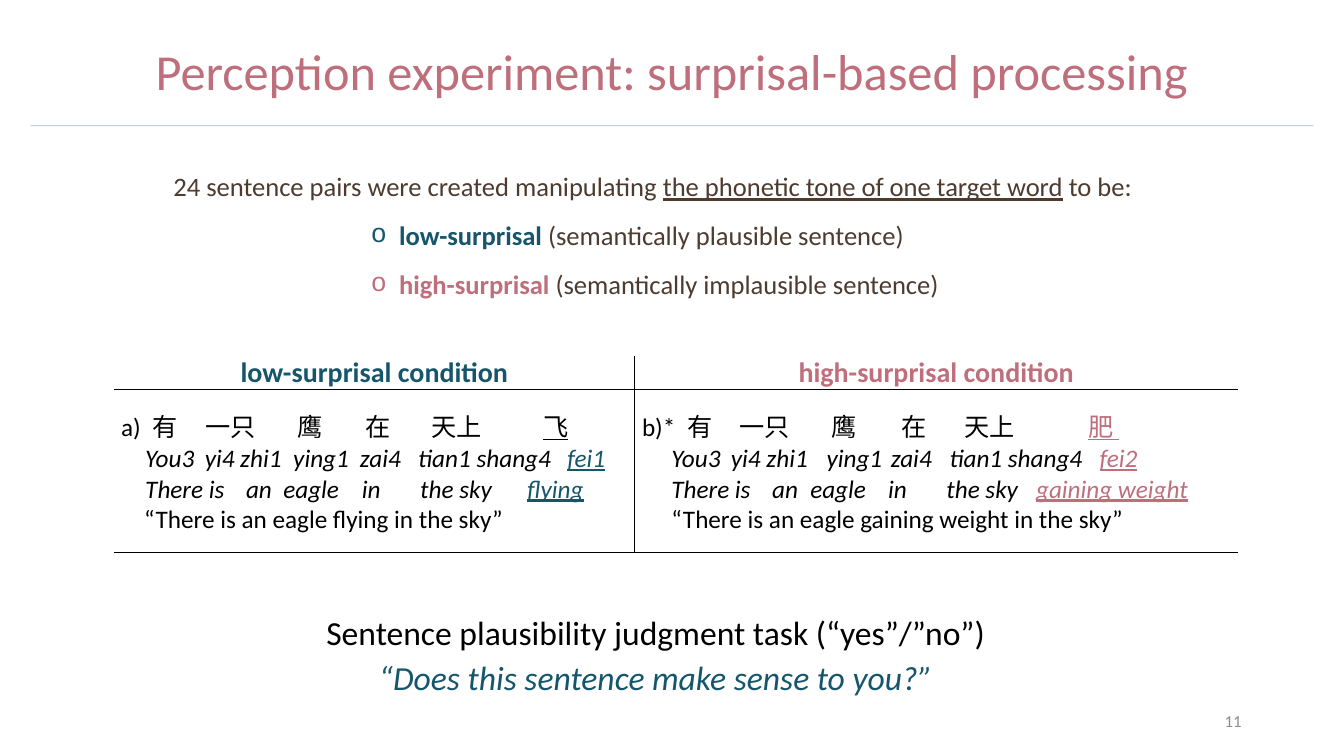
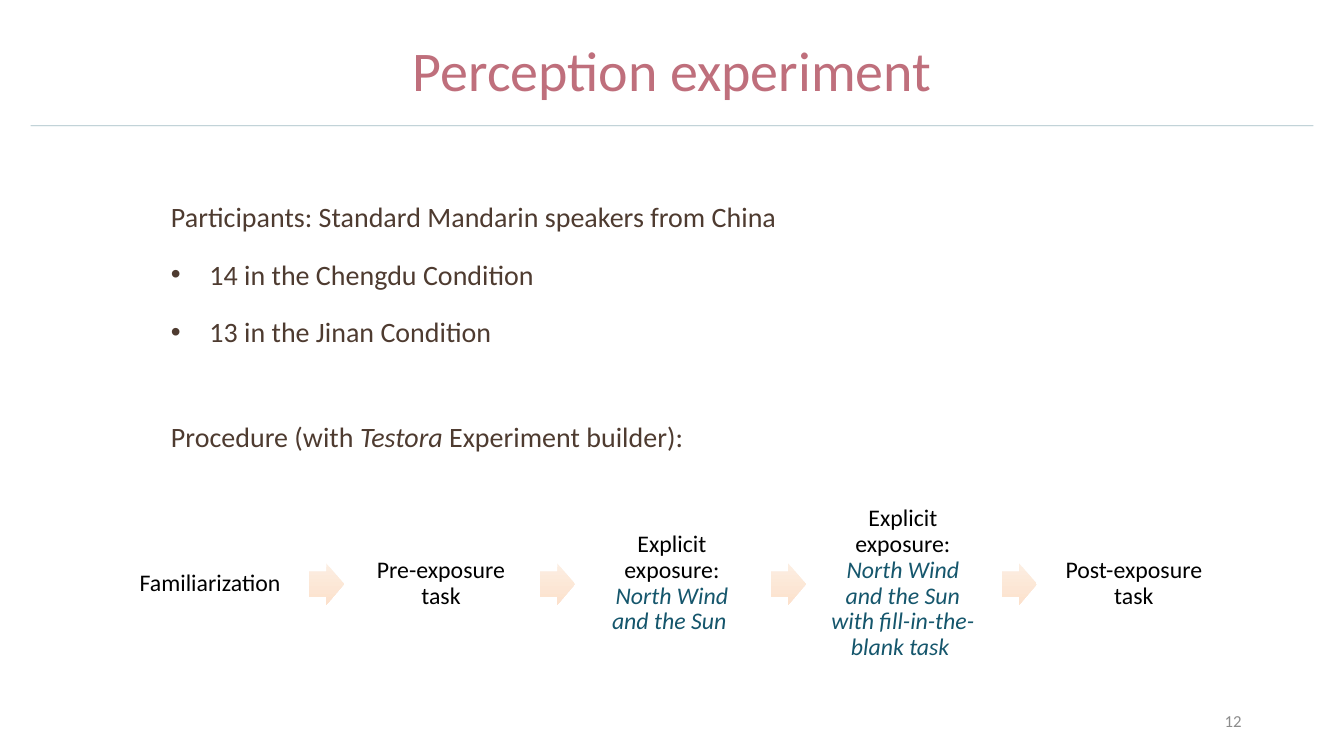
import pptx
import pptx.util
import pptx.dml.color
import pptx.enum.text
import pptx.enum.shapes
import pptx.oxml
import pptx.oxml.ns
import pptx.oxml.xmlchemy

Cm, Pt = pptx.util.Cm, pptx.util.Pt
RGB = pptx.dml.color.RGBColor.from_string
ALIGN = pptx.enum.text.PP_ALIGN
ANCHOR = pptx.enum.text.MSO_ANCHOR
SHAPE = pptx.enum.shapes.MSO_SHAPE
qn = pptx.oxml.ns.qn

THEME = {
    "font": "Calibri",
    "colors": {"rose": "BF6F7C", "teal": "15566C", "brown": "4E3B30",
               "black": "000000", "gray": "8C8C8C"},
    "sizes": {"title": 36, "big_title": 40, "intro": 19, "body": 20, "head": 20,
              "gloss": 18, "task": 24, "step": 17, "number": 12},
    "arrow": ("FCEEE2", "FCE1CC"),
}

PLAIN = {}
UNDER = {"underline": True}
ITALIC = {"italic": True}
TEAL = {"color": "teal"}
ROSE = {"color": "rose"}
BOLD = {"bold": True}

INTRO = [
    ([("24 sentence pairs were created manipulating ", PLAIN),
      ("the phonetic tone of one target word", UNDER), (" to be:", PLAIN)], None),
    ([("low-surprisal ", TEAL | BOLD), ("(semantically plausible sentence)", PLAIN)], "teal"),
    ([("high-surprisal ", ROSE | BOLD), ("(semantically implausible sentence)", PLAIN)], "rose"),
]

CONDITIONS = [
    {"head": "low-surprisal condition", "color": "teal", "width": 13.13, "lines": [
        (["a)", "有", "一只", "鹰", "在", "天上"], ("飞", UNDER), PLAIN,
         [0.8, 2.13, 4.45, 6.17, 7.82, 10.64]),
        (["", "You3", "yi4 zhi1", "ying1", "zai4", "tian1 shang4"],
         ("fei1", UNDER | TEAL), ITALIC, [0.61, 2.11, 4.34, 6.02, 7.49, 11.25]),
        (["", "There is", "an", "eagle", "in", "the sky"],
         ("flying", UNDER | TEAL), ITALIC, [0.61, 3.15, 4.09, 6.07, 7.54, 10.24]),
        ([""], ("“There is an eagle flying in the sky”", PLAIN), PLAIN, [0.58]),
    ]},
    {"head": "high-surprisal condition", "color": "rose", "width": 15.19, "lines": [
        (["b)*", "有", "一只", "鹰", "在", "天上"], ("肥 ", UNDER | ROSE), PLAIN,
         [1.14, 2.46, 4.78, 6.53, 8.13, 11.25]),
        (["", "You3", "yi4 zhi1", "ying1", "zai4", "tian1 shang4"],
         ("fei2", UNDER | ROSE), ITALIC, [0.74, 2.24, 4.65, 6.27, 7.75, 11.53]),
        (["", "There is", "an", "eagle", "in", "the sky"],
         ("gaining weight", UNDER | ROSE), ITALIC, [0.74, 3.28, 4.24, 6.2, 7.67, 9.93]),
        ([""], ("“There is an eagle gaining weight in the sky”", PLAIN), PLAIN, [0.74]),
    ]},
]

TASK = [("Sentence plausibility judgment task (“yes”/”no”)", PLAIN),
        ("“Does this sentence make sense to you?”", TEAL | ITALIC)]

PARTICIPANTS = ["14 in the Chengdu Condition", "13 in the Jinan Condition"]

STEPS = [
    [("Familiarization", PLAIN)],
    [("Pre-exposure task", PLAIN)],
    [("Explicit exposure: ", PLAIN), ("North Wind and the Sun ", TEAL | ITALIC)],
    [("Explicit exposure: ", PLAIN),
     ("North Wind and the Sun with fill-in-the-blank task ", TEAL | ITALIC)],
    [("Post-exposure task", PLAIN)],
]


def add_xml(parent, tag, **attrs):
    el = pptx.oxml.xmlchemy.OxmlElement(tag)
    for name, value in attrs.items():
        el.set(name, str(value))
    parent.append(el)
    return el


def write(p, runs, size, color="black", **fmt):
    for name, value in fmt.items():
        setattr(p, name, value)
    for text, style in runs:
        r = p.add_run()
        r.text = text
        look = {"name": THEME["font"], "size": Pt(THEME["sizes"][size])} | style
        r.font.color.rgb = RGB(THEME["colors"][look.pop("color", color)])
        for name, value in look.items():
            setattr(r.font, name, value)


def paragraphs(tf):
    yield tf.paragraphs[0]
    while True:
        yield tf.add_paragraph()


def bullet(p, char, font, left, hang):
    pPr = p._p.get_or_add_pPr()
    pPr.set("marL", str(Cm(left)))
    pPr.set("indent", str(-Cm(hang)))
    add_xml(pPr, "a:buFont", typeface=font)
    add_xml(pPr, "a:buChar", char=char)


def tab_stops(p, stops):
    tabs = add_xml(p._p.get_or_add_pPr(), "a:tabLst")
    for stop in stops:
        add_xml(tabs, "a:tab", pos=Cm(stop), algn="l")


def text_box(s, box, anchor=ANCHOR.TOP, inset=None):
    tf = s.shapes.add_textbox(*map(Cm, box)).text_frame
    tf.word_wrap = True
    tf.vertical_anchor = anchor
    if inset is not None:
        for side in ("left", "right", "top", "bottom"):
            setattr(tf, "margin_" + side, Cm(inset))
    return tf


def base_slide(prs, title, size, number):
    s = prs.slides.add_slide(prs.slide_layouts[6])
    rule = s.shapes.add_connector(pptx.enum.shapes.MSO_CONNECTOR.STRAIGHT,
                                  Cm(0.77), Cm(3.17), Cm(33.1), Cm(3.17))
    rule.line.width = Pt(0.5)
    rule.line.color.rgb = RGB(THEME["colors"]["teal"])
    add_xml(next(rule._element.iter(qn("a:srgbClr"))), "a:alpha", val=40000)
    add_xml(rule._element.spPr, "a:effectLst")
    tf = text_box(s, (2.33, 0.02, 29.21, 3.68), ANCHOR.MIDDLE)
    write(tf.paragraphs[0], [(title, PLAIN)], size, "rose",
          alignment=ALIGN.CENTER, line_spacing=0.9)
    tf = text_box(s, (23.92, 17.65, 7.62, 1.02), ANCHOR.MIDDLE)
    write(tf.paragraphs[0], [(str(number), PLAIN)], "number", "gray", alignment=ALIGN.RIGHT)
    return s


def borders(cell, sides):
    tcPr = cell._tc.get_or_add_tcPr()
    for side in "LRTB":
        ln = add_xml(tcPr, "a:ln" + side, w=Pt(1))
        if side in sides:
            add_xml(add_xml(ln, "a:solidFill"), "a:srgbClr", val=THEME["colors"]["black"])
        else:
            add_xml(ln, "a:noFill")


def condition_table(s):
    heights = (0.82, 4.11)
    table = s.shapes.add_table(2, len(CONDITIONS), Cm(2.87), Cm(8.97),
                               Cm(sum(c["width"] for c in CONDITIONS)), Cm(sum(heights))).table
    table.first_row = table.horz_banding = False
    for row, height in zip(table.rows, heights):
        row.height = Cm(height)
    for col, cond in enumerate(CONDITIONS):
        table.columns[col].width = Cm(cond["width"])
        inner = "R" if col == 0 else "L"
        for row, sides in enumerate(("B", "TB")):
            cell = table.cell(row, col)
            fmt = {"margin_left": Cm(0.18), "margin_right": Cm(0.18), "margin_top": 0,
                   "margin_bottom": 0, "vertical_anchor": ANCHOR.MIDDLE}
            for name, value in fmt.items():
                setattr(cell, name, value)
            borders(cell, sides + inner)
            cell.fill.background()
        write(table.cell(0, col).text_frame.paragraphs[0], [(cond["head"], BOLD)],
              "head", cond["color"], alignment=ALIGN.CENTER)
        tf = table.cell(1, col).text_frame
        for (words, (target, look), style, stops), p in zip(cond["lines"], paragraphs(tf)):
            write(p, [("\t".join(words) + "\t", style), (target, style | look)], "gloss")
            tab_stops(p, stops)


def surprisal_slide(prs):
    s = base_slide(prs, "Perception experiment: surprisal-based processing", "title", 11)
    tf = text_box(s, (4.12, 4.08, 27.43, 3.8))
    for (runs, mark), p in zip(INTRO, paragraphs(tf)):
        write(p, runs, "intro", "brown", line_spacing=1.1, space_before=Pt(10 if mark else 0))
        if mark:
            bullet(p, "o", "Courier New", 5.69, 0.71)
    condition_table(s)
    tf = text_box(s, (6.43, 15.2, 20.19, 2.46))
    for run, p in zip(TASK, paragraphs(tf)):
        write(p, [run], "task", alignment=ALIGN.CENTER, line_spacing=1.1)


def procedure_slide(prs):
    s = base_slide(prs, "Perception experiment", "big_title", 12)
    tf = text_box(s, (4.06, 4.49, 28.3, 7.4))
    write(tf.paragraphs[0], [("Participants: Standard Mandarin speakers from China", PLAIN)],
          "body", "brown", line_spacing=1.5)
    for text in PARTICIPANTS:
        p = tf.add_paragraph()
        write(p, [(text, PLAIN)], "body", "brown", line_spacing=1.5, space_before=Pt(5))
        bullet(p, "•", "Arial", 0.97, 0.97)
    write(tf.add_paragraph(), [("Procedure (with ", PLAIN), ("Testora", ITALIC),
                               (" Experiment builder):", PLAIN)],
          "body", "brown", space_before=Pt(51))

    left, pitch, width = 3.34, 5.82, 3.91
    for i, runs in enumerate(STEPS):
        x = left + i * pitch
        tf = text_box(s, (x, 12.52, width, 4.37), ANCHOR.MIDDLE, 0.14)
        write(tf.paragraphs[0], runs, "step", alignment=ALIGN.CENTER, line_spacing=0.9)
        if i < len(STEPS) - 1:
            sp = s.shapes.add_shape(SHAPE.RIGHT_ARROW, Cm(x + width + 0.53), Cm(14.2),
                                    Cm(0.89), Cm(1.04))
            sp.shadow.inherit = False
            sp.adjustments[0], sp.adjustments[1] = 0.6, 0.5
            sp.line.fill.background()
            sp.fill.gradient()
            sp.fill.gradient_angle = 270
            for stop, color in zip(sp.fill.gradient_stops, THEME["arrow"]):
                stop.color.rgb = RGB(color)


def main():
    prs = pptx.Presentation()
    prs.slide_width, prs.slide_height = Cm(33.87), Cm(19.05)
    surprisal_slide(prs)
    procedure_slide(prs)
    prs.save("out.pptx")


if __name__ == "__main__":
    main()
